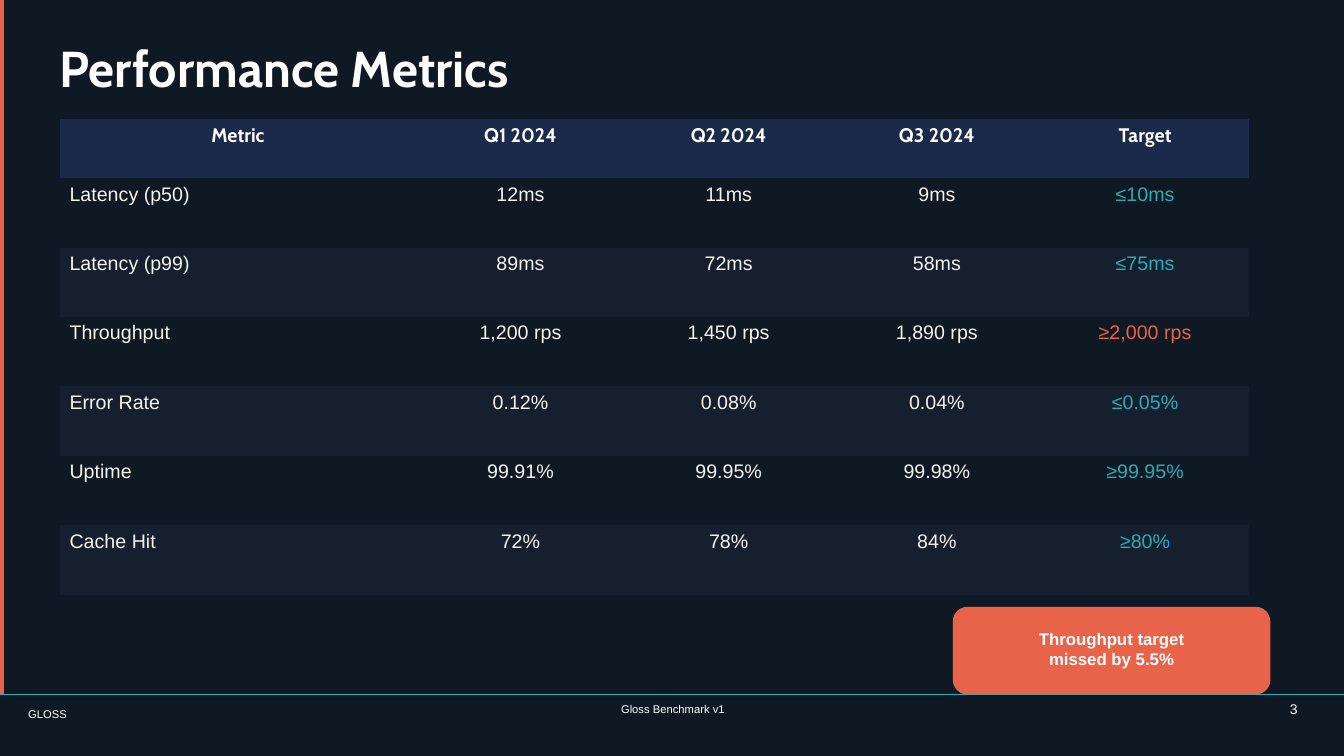
from lxml import etree
from pptx import Presentation
from pptx.dml.color import RGBColor
from pptx.enum.shapes import MSO_CONNECTOR, MSO_SHAPE
from pptx.enum.text import MSO_ANCHOR as ANCHOR, PP_ALIGN as ALIGN
from pptx.oxml.ns import qn
from pptx.util import Inches, Pt

TITLE = "Performance Metrics"
HEADER = ["Metric", "Q1 2024", "Q2 2024", "Q3 2024", "Target"]
METRICS = [
    ("Latency (p50)", "12ms", "11ms", "9ms", "≤10ms"),
    ("Latency (p99)", "89ms", "72ms", "58ms", "≤75ms"),
    ("Throughput", "1,200 rps", "1,450 rps", "1,890 rps", "≥2,000 rps"),
    ("Error Rate", "0.12%", "0.08%", "0.04%", "≤0.05%"),
    ("Uptime", "99.91%", "99.95%", "99.98%", "≥99.95%"),
    ("Cache Hit", "72%", "78%", "84%", "≥80%"),
]
MISSED = {"Throughput"}
CALLOUT = ["Throughput target", "missed by 5.5%"]
BRAND, FOOTER, PAGE = "GLOSS", "Gloss Benchmark v1", "3"

COLORS = {
    "back": "0F1923", "band": "161F2E", "header": "1B2A4A", "coral": "E8634A",
    "teal": "2AACB8", "white": "FFFFFF", "cream": "F5F3EE",
}
FORMATS = {
    "title": {"name": "Cabin", "size": Pt(36), "bold": True},
    "header": {"name": "Cabin", "size": Pt(14), "bold": True},
    "body": {"name": "Arial", "size": Pt(14), "bold": False},
    "callout": {"name": "Arial", "size": Pt(12), "bold": True},
    "footer": {"name": "Arial", "size": Pt(8)},
    "page": {"name": "Arial", "size": Pt(10)},
}
W, H = 13.33, 7.5
MARGIN = 0.59
FOOT_Y = 6.89
TABLE_W, TABLE_H = 20 * MARGIN, 8 * MARGIN
COL_SHARES = [0.3] + [0.175] * 4
HEADER_SHARE = 1 / 8
ROW_SHARES = [HEADER_SHARE] + [(1 - HEADER_SHARE) / len(METRICS)] * len(METRICS)


def color(name):
    return RGBColor.from_string(COLORS[name])


def paint(fill, name):
    fill.solid()
    fill.fore_color.rgb = color(name)


def write(tf, lines, style, ink="white", align=ALIGN.LEFT):
    for i, line in enumerate(lines):
        p = tf.paragraphs[0] if i == 0 else tf.add_paragraph()
        p.alignment = align
        r = p.add_run()
        r.text = line
        for key, value in FORMATS[style].items():
            setattr(r.font, key, value)
        r.font.color.rgb = color(ink)


def set_frame(tf, anchor, bottom=0):
    settings = {"word_wrap": True, "vertical_anchor": anchor, "margin_left": 0,
                "margin_right": 0, "margin_top": 0, "margin_bottom": Inches(bottom)}
    for key, value in settings.items():
        setattr(tf, key, value)


def add_text(s, box, text, style, align=ALIGN.LEFT, anchor=ANCHOR.MIDDLE):
    tf = s.shapes.add_textbox(*map(Inches, box)).text_frame
    set_frame(tf, anchor)
    write(tf, [text], style, align=align)


def add_block(s, kind, box, fill):
    sp = s.shapes.add_shape(kind, *map(Inches, box))
    sp.shadow.inherit = False
    paint(sp.fill, fill)
    sp.line.fill.background()
    return sp


def add_rule(s):
    line = s.shapes.add_connector(MSO_CONNECTOR.STRAIGHT, 0, Inches(FOOT_Y),
                                  Inches(W), Inches(FOOT_Y))
    line.line.color.rgb = color("teal")
    line.line.width = Pt(0.5)
    etree.SubElement(line._element.spPr, qn("a:effectLst"))


def add_metrics(s):
    rows = [HEADER, *METRICS]
    box = map(Inches, (MARGIN, 2 * MARGIN, TABLE_W, TABLE_H))
    table = s.shapes.add_table(len(rows), len(HEADER), *box).table
    table.horz_banding = False
    # Built-in "No Style, No Grid" table style
    style_id = table._tbl.tblPr.find(qn("a:tableStyleId"))
    style_id.text = "{2D5ABB26-0587-4C30-8999-92F81FD0307C}"
    for col, share in zip(table.columns, COL_SHARES):
        col.width = Inches(TABLE_W * share)
    for row, share in zip(table.rows, ROW_SHARES):
        row.height = Inches(TABLE_H * share)
    for i, values in enumerate(rows):
        for j, value in enumerate(values):
            cell = table.cell(i, j)
            style, ink, align = "body", "cream", ALIGN.CENTER
            fill = "back" if i % 2 else "band"
            if i == 0:
                style, ink, fill = "header", "white", "header"
            elif j == 0:
                align = ALIGN.LEFT
            elif j == len(HEADER) - 1:
                ink = "coral" if values[0] in MISSED else "teal"
            paint(cell.fill, fill)
            write(cell.text_frame, [value], style, ink, align)


def main():
    prs = Presentation()
    prs.slide_width, prs.slide_height = Inches(W), Inches(H)
    s = prs.slides.add_slide(prs.slide_layouts[6])
    paint(s.background.fill, "back")
    add_block(s, MSO_SHAPE.RECTANGLE, (0, 0, 0.04, FOOT_Y), "coral")
    add_rule(s)
    add_text(s, (0.28, 6.97, 1.97, 0.22), BRAND, "footer")
    add_text(s, (MARGIN, 0.31, 6.3, 0.71), TITLE, "title")
    add_metrics(s)
    callout = add_block(s, MSO_SHAPE.ROUNDED_RECTANGLE,
                        (9.45, FOOT_Y - 0.87, 3.15, 0.87), "coral")
    set_frame(callout.text_frame, ANCHOR.MIDDLE, bottom=0.04)
    write(callout.text_frame, CALLOUT, "callout", align=ALIGN.CENTER)
    add_text(s, (4.41, 6.97, 4.53, 0.2), FOOTER, "footer", ALIGN.CENTER, ANCHOR.TOP)
    add_text(s, (12.4, 6.95, 0.47, 0.24), PAGE, "page", ALIGN.RIGHT, ANCHOR.TOP)
    prs.save("out.pptx")


if __name__ == "__main__":
    main()
